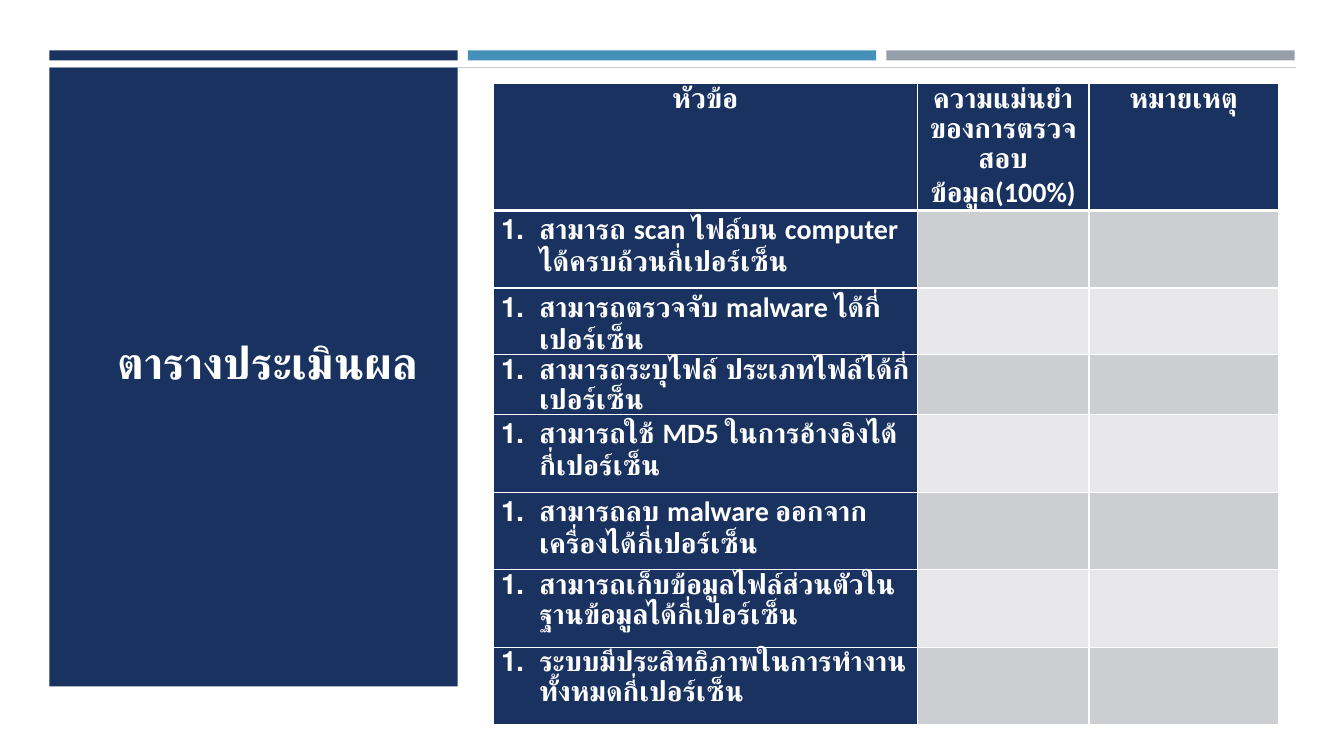
from lxml import etree
from pptx import Presentation
from pptx import util as u
from pptx.dml.color import RGBColor
from pptx.enum import lang, shapes, text
from pptx.oxml import ns

COLORS = {
    "navy": "1A3260", "blue": "4590B8", "gray": "969FA7", "white": "FFFFFF",
    "hairline": "C6CBD7", "dark_band": "CDCED2", "light_band": "E8E8EA",
}
FONT = "Calibri"
LEFT, TOP, PANEL_WIDTH, BAR_STEP = 0.49, 0.67, 4.05, 4.15


def format_text(paragraph, size):
    for run in paragraph.runs:
        run.font.name = FONT
        run.font.size = u.Pt(size)
        run.font.bold = True
        run.font.language_id = lang.MSO_LANGUAGE_ID.THAI
        run.font.color.rgb = RGBColor.from_string(COLORS["white"])


def add_block(left, top, width, height, color):
    block = slide.shapes.add_shape(
        shapes.MSO_SHAPE.RECTANGLE,
        u.Inches(left), u.Inches(top), u.Inches(width), u.Inches(height))
    block.shadow.inherit = False
    block.fill.solid()
    block.fill.fore_color.rgb = RGBColor.from_string(COLORS[color])
    block.line.fill.background()


presentation = Presentation()
presentation.slide_width = u.Inches(13.33)
presentation.slide_height = u.Inches(7.5)
slide = presentation.slides.add_slide(presentation.slide_layouts[6])

# Three bars along the top
for column, color in enumerate(["navy", "blue", "gray"]):
    add_block(LEFT + column * BAR_STEP, 0.5, PANEL_WIDTH, 0.1, color)

# Hairline under the bars
hairline = slide.shapes.add_connector(
    shapes.MSO_CONNECTOR.STRAIGHT,
    u.Inches(LEFT), u.Inches(TOP), u.Inches(12.85), u.Inches(TOP))
hairline.line.width = u.Pt(0.5)
hairline.line.color.rgb = RGBColor.from_string(COLORS["hairline"])
etree.SubElement(hairline.element.spPr, ns.qn("a:effectLst"))

# Title panel
add_block(LEFT, TOP, PANEL_WIDTH, 6.14, "navy")

# Evaluation table
headings = ["หัวข้อ", "ความแม่นยำของการตรวจสอบข้อมูล(100%)", "หมายเหตุ"]
topics = [
    "สามารถ scan ไฟล์บน computer ได้ครบถ้วนกี่เปอร์เซ็น",
    "สามารถตรวจจับ malware ได้กี่เปอร์เซ็น",
    "สามารถระบุไฟล์ ประเภทไฟล์ได้กี่เปอร์เซ็น",
    "สามารถใช้ MD5 ในการอ้างอิงได้กี่เปอร์เซ็น",
    "สามารถลบ malware ออกจากเครื่องได้กี่เปอร์เซ็น",
    "สามารถเก็บข้อมูลไฟล์ส่วนตัวในฐานข้อมูลได้กี่เปอร์เซ็น",
    "ระบบมีประสิทธิภาพในการทำงานทั้งหมดกี่เปอร์เซ็น",
]
rows = [headings] + [[topic, "", ""] for topic in topics]
column_widths = [4.21, 1.7, 1.88]
row_heights = [1.16, 0.77, 0.4, 0.4] + [0.77] * 4

table = slide.shapes.add_table(
    len(rows), len(headings), u.Inches(4.89), u.Inches(0.83),
    u.Inches(sum(column_widths)), u.Inches(sum(row_heights))).table
for column, width in zip(table.columns, column_widths):
    column.width = u.Inches(width)
for row, height in zip(table.rows, row_heights):
    row.height = u.Inches(height)

for row_index, row in enumerate(rows):
    for column_index, wording in enumerate(row):
        cell = table.cell(row_index, column_index)

        # White borders, thicker under the heading row
        properties = cell._tc.get_or_add_tcPr()
        for side in ["lnL", "lnR", "lnT", "lnB"]:
            thick = (row_index, side) in [(0, "lnB"), (1, "lnT")]
            border = etree.SubElement(
                properties, ns.qn(f"a:{side}"), w=str(u.Pt(3 if thick else 1)))
            line_fill = etree.SubElement(border, ns.qn("a:solidFill"))
            etree.SubElement(line_fill, ns.qn("a:srgbClr"), val=COLORS["white"])

        band = "dark_band" if row_index % 2 else "light_band"
        cell.fill.solid()
        cell.fill.fore_color.rgb = RGBColor.from_string(
            COLORS["navy" if wording else band])
        if not wording:
            continue

        cell.margin_left = cell.margin_right = u.Inches(0.08)
        cell.margin_top = cell.margin_bottom = 0
        cell.text_frame.text = wording
        paragraph = cell.text_frame.paragraphs[0]
        paragraph.line_spacing = 1.07
        format_text(paragraph, 20)
        if row_index == 0:
            paragraph.alignment = text.PP_ALIGN.CENTER
        else:
            # Every topic starts its own numbered list
            numbering = paragraph._p.get_or_add_pPr()
            numbering.set("marL", str(u.Inches(0.38)))
            numbering.set("indent", str(u.Inches(-0.38)))
            etree.SubElement(numbering, ns.qn("a:buFont"), typeface="+mj-lt")
            etree.SubElement(numbering, ns.qn("a:buAutoNum"), type="arabicPeriod")

# Title
title = slide.shapes.add_textbox(
    u.Inches(1.07), u.Inches(3.27), u.Inches(3.82), u.Inches(0.94))
title.text_frame.word_wrap = True
title.text_frame.text = "ตารางประเมินผล"
format_text(title.text_frame.paragraphs[0], 32)

presentation.save("out.pptx")
